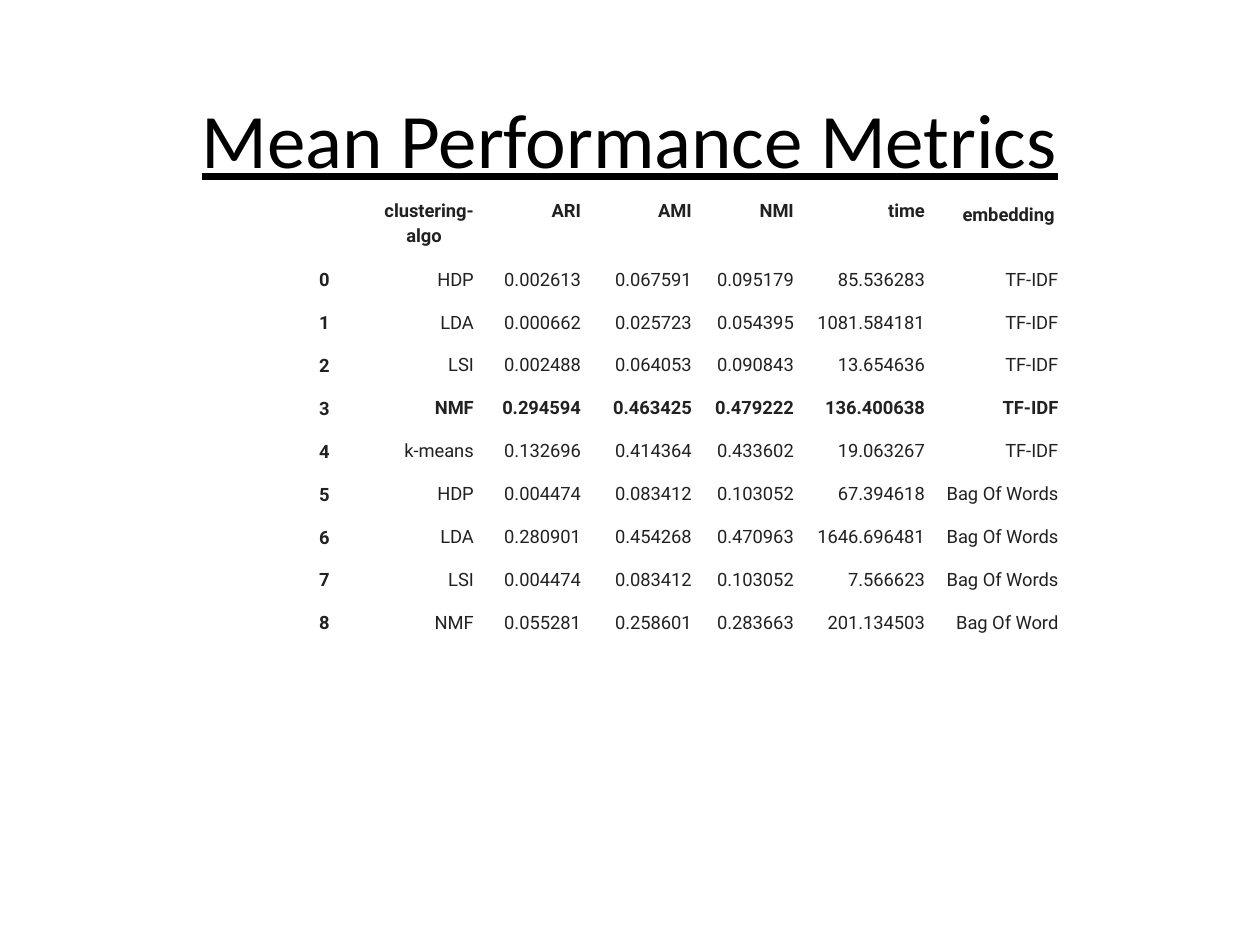
from pptx import Presentation
from pptx.dml.color import RGBColor
from pptx.enum.text import MSO_ANCHOR, PP_ALIGN
from pptx.util import Inches, Pt

TOP, MIDDLE = MSO_ANCHOR.TOP, MSO_ANCHOR.MIDDLE
CENTER, RIGHT = PP_ALIGN.CENTER, PP_ALIGN.RIGHT

TITLE_FORMAT = {"name": "Calibri", "size": Pt(44), "underline": True}
CELL_FORMAT = {"name": "Roboto", "size": Pt(10.5)}
SIDES = ("left", "top", "right", "bottom")

COLUMN_WIDTHS = (0.65, 0.93, 0.85, 0.88, 0.81, 1.04, 1.06)
ROW_HEIGHT = 0.31
HEADERS = ("", "clustering-\nalgo", "ARI", "AMI", "NMI", "time", "embedding")
RESULTS = (
    ("HDP", "0.002613", "0.067591", "0.095179", "85.536283", "TF-IDF"),
    ("LDA", "0.000662", "0.025723", "0.054395", "1081.584181", "TF-IDF"),
    ("LSI", "0.002488", "0.064053", "0.090843", "13.654636", "TF-IDF"),
    ("NMF", "0.294594", "0.463425", "0.479222", "136.400638", "TF-IDF"),
    ("k-means", "0.132696", "0.414364", "0.433602", "19.063267", "TF-IDF"),
    ("HDP", "0.004474", "0.083412", "0.103052", "67.394618", "Bag Of Words"),
    ("LDA", "0.280901", "0.454268", "0.470963", "1646.696481", "Bag Of Words"),
    ("LSI", "0.004474", "0.083412", "0.103052", "7.566623", "Bag Of Words"),
    ("NMF", "0.055281", "0.258601", "0.283663", "201.134503", "Bag Of Word"),
)
BEST_RESULT = 3


def color(hex_string):
    return RGBColor.from_string(hex_string)


def set_margins(target, inches):
    for side in SIDES:
        setattr(target, f"margin_{side}", Inches(inches))


def write_paragraph(para, text, alignment, font_format, hex_string):
    para.alignment = alignment
    span = para.add_run()
    span.text = text
    for name, value in font_format.items():
        setattr(span.font, name, value)
    span.font.color.rgb = color(hex_string)


def add_title(page, text):
    box = page.shapes.add_textbox(Inches(0.5), Inches(0.63), Inches(9), Inches(1.25))
    frame = box.text_frame
    frame.word_wrap = True
    frame.vertical_anchor = TOP
    set_margins(frame, 0.1)
    write_paragraph(frame.paragraphs[0], text, CENTER, TITLE_FORMAT, "000000")


def fill_cell(cell, text, bold, centered=False, margin=0.07):
    """Write one line per paragraph; any line after the first is centred."""
    cell.fill.solid()
    cell.fill.fore_color.rgb = color("FFFFFF")
    set_margins(cell, margin)
    cell.vertical_anchor = MIDDLE if centered else TOP
    if not text:
        return
    frame = cell.text_frame
    for index, line in enumerate(text.split("\n")):
        para = frame.add_paragraph() if index else frame.paragraphs[0]
        para.line_spacing = 1.15
        alignment = CENTER if centered or index else RIGHT
        write_paragraph(para, line, alignment, {**CELL_FORMAT, "bold": bold}, "212121")


def add_metrics_table(page):
    row_count = len(RESULTS) + 1
    table = page.shapes.add_table(
        row_count, len(HEADERS), Inches(2.25), Inches(1.5),
        Inches(sum(COLUMN_WIDTHS)), Inches(ROW_HEIGHT * row_count)).table
    table.first_row = table.horz_banding = False
    for column, width in zip(table.columns, COLUMN_WIDTHS):
        column.width = Inches(width)
    for row in table.rows:
        row.height = Inches(ROW_HEIGHT)

    for column, text in enumerate(HEADERS):
        fill_cell(table.cell(0, column), text, bold=True,
                  margin=0.1 if text == "embedding" else 0.07)
    for number, result in enumerate(RESULTS):
        fill_cell(table.cell(number + 1, 0), str(number), bold=True, centered=True)
        for column, text in enumerate(result, start=1):
            fill_cell(table.cell(number + 1, column), text, bold=number == BEST_RESULT)


def main():
    deck = Presentation()
    deck.slide_width, deck.slide_height = Inches(10), Inches(7.5)
    page = deck.slides.add_slide(deck.slide_layouts[6])
    add_title(page, "Mean Performance Metrics")
    add_metrics_table(page)
    deck.save("out.pptx")


if __name__ == "__main__":
    main()
